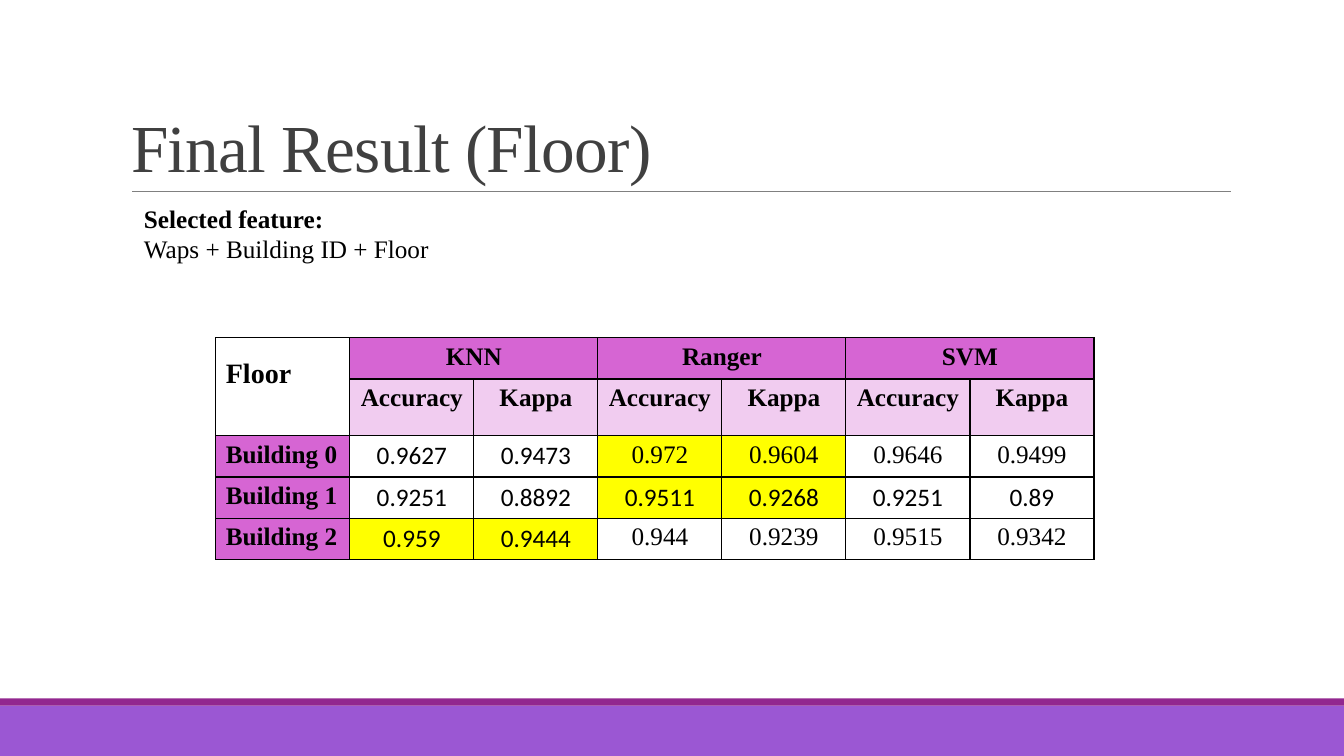
from lxml import etree
from pptx import Presentation
from pptx.dml.color import RGBColor
from pptx.enum.shapes import MSO_CONNECTOR, MSO_SHAPE
from pptx.enum.text import MSO_ANCHOR, MSO_AUTO_SIZE, PP_ALIGN
from pptx.oxml.ns import qn
from pptx.util import Inches, Pt

RECT = MSO_SHAPE.RECTANGLE
STRAIGHT = MSO_CONNECTOR.STRAIGHT
BOTTOM = MSO_ANCHOR.BOTTOM
GROW = MSO_AUTO_SIZE.SHAPE_TO_FIT_TEXT
LEFT, CENTER = PP_ALIGN.LEFT, PP_ALIGN.CENTER

SERIF, SANS = "Times New Roman", "Calibri"
COLORS = {"band": "9B57D3", "stripe": "92278F", "rule": "808080",
          "title": "404040", "text": "000000", "head": "D665D3",
          "subhead": "F1CCF0", "best": "FFFF00"}

MODELS = ["KNN", "Ranger", "SVM"]
METRICS = ["Accuracy", "Kappa"]
RESULTS = [
    ["0.9627", "0.9473", "0.972", "0.9604", "0.9646", "0.9499"],
    ["0.9251", "0.8892", "0.9511", "0.9268", "0.9251", "0.89"],
    ["0.959", "0.9444", "0.944", "0.9239", "0.9515", "0.9342"],
]
BEST_MODEL = [1, 1, 0]
SANS_COUNT = [2, 6, 2]
COL_WIDTHS = [1.33] + [1.23] * 6
ROW_HEIGHTS = [0.41, 0.56, 0.41, 0.41, 0.41]


class SlideBuilder:
    """Draws styled elements on the current slide."""

    def __init__(self, prs):
        self.slide = prs.slides.add_slide(prs.slide_layouts[5])
        self.shapes = self.slide.shapes

    def color(self, name):
        return RGBColor.from_string(COLORS[name])

    def style(self, p, size, bold=False, font=SERIF, color="text", align=LEFT):
        p.alignment = align
        p.font.name = font
        p.font.size = Pt(size)
        p.font.bold = bold
        p.font.color.rgb = self.color(color)

    def bar(self, y, height, color):
        sp = self.shapes.add_shape(RECT, 0, Inches(y), Inches(13.33), Inches(height))
        sp.shadow.inherit = False
        sp.fill.solid()
        sp.fill.fore_color.rgb = self.color(color)
        sp.line.fill.background()

    def rule(self, x1, x2, y):
        line = self.shapes.add_connector(STRAIGHT, Inches(x1), Inches(y), Inches(x2), Inches(y))
        line.line.color.rgb = self.color("rule")
        line.line.width = Pt(0.5)
        etree.SubElement(line._element.spPr, qn("a:effectLst"))

    def title(self, text, x, y, w, h):
        sp = self.shapes.title
        sp.left, sp.top, sp.width, sp.height = map(Inches, (x, y, w, h))
        tf = sp.text_frame
        tf.text = text
        tf.vertical_anchor = BOTTOM
        p = tf.paragraphs[0]
        self.style(p, 48, color="title")
        p.line_spacing = 0.85
        p.runs[0]._r.get_or_add_rPr().set("spc", "-50")

    def text(self, lines, x, y, w, h):
        tf = self.shapes.add_textbox(*map(Inches, (x, y, w, h))).text_frame
        tf.word_wrap = True
        tf.auto_size = GROW
        tf.text = "\n".join(text for text, _ in lines)
        for p, (_, bold) in zip(tf.paragraphs, lines):
            self.style(p, 18, bold)

    def table(self, x, y, widths, heights):
        frame = self.shapes.add_table(len(heights), len(widths), Inches(x), Inches(y),
                                      Inches(sum(widths)), Inches(sum(heights)))
        table = frame.table
        table.first_row = table.horz_banding = False
        for col, width in zip(table.columns, widths):
            col.width = Inches(width)
        for row, height in zip(table.rows, heights):
            row.height = Inches(height)
        for cell in table.iter_cells():
            self.borders(cell)
            cell.fill.background()
        return table

    def borders(self, cell):
        tcPr = cell._tc.get_or_add_tcPr()
        for side in ("lnL", "lnR", "lnT", "lnB"):
            ln = etree.SubElement(tcPr, qn(f"a:{side}"), w=str(Pt(1)))
            fill = etree.SubElement(ln, qn("a:solidFill"))
            etree.SubElement(fill, qn("a:srgbClr"), val=COLORS["text"])

    def cell(self, cell, text, fill=None, size=18, bold=True, font=SERIF, align=CENTER):
        cell.text = text
        self.style(cell.text_frame.paragraphs[0], size, bold, font, align=align)
        if fill:
            cell.fill.solid()
            cell.fill.fore_color.rgb = self.color(fill)


def main():
    prs = Presentation()
    prs.slide_width, prs.slide_height = Inches(13.33), Inches(7.5)
    s = SlideBuilder(prs)
    s.bar(7, 0.5, "band")
    s.bar(6.93, 0.07, "stripe")
    s.rule(1.31, 12.21, 1.9)
    s.title("Final Result (Floor)", 1.2, 0.31, 11, 1.59)

    table = s.table(2.14, 3.35, COL_WIDTHS, ROW_HEIGHTS)
    corner = table.cell(0, 0)
    corner.merge(table.cell(1, 0))
    s.cell(corner, "Floor", size=20, align=LEFT)
    corner.text_frame.paragraphs[0].line_spacing = 1.5
    for m, model in enumerate(MODELS):
        first = 1 + 2 * m
        table.cell(0, first).merge(table.cell(0, first + 1))
        s.cell(table.cell(0, first), model, "head")
        for k, metric in enumerate(METRICS):
            s.cell(table.cell(1, first + k), metric, "subhead")
    for b, values in enumerate(RESULTS):
        s.cell(table.cell(b + 2, 0), f"Building {b}", "head", align=LEFT)
        for i, value in enumerate(values):
            fill = "best" if i // 2 == BEST_MODEL[b] else None
            font = SANS if i < SANS_COUNT[b] else SERIF
            s.cell(table.cell(b + 2, i + 1), value, fill, bold=False, font=font)

    s.text([("Selected feature:", True), ("Waps + Building ID + Floor", False)],
           1.33, 1.97, 11.5, 0.71)
    prs.save("out.pptx")


if __name__ == "__main__":
    main()
